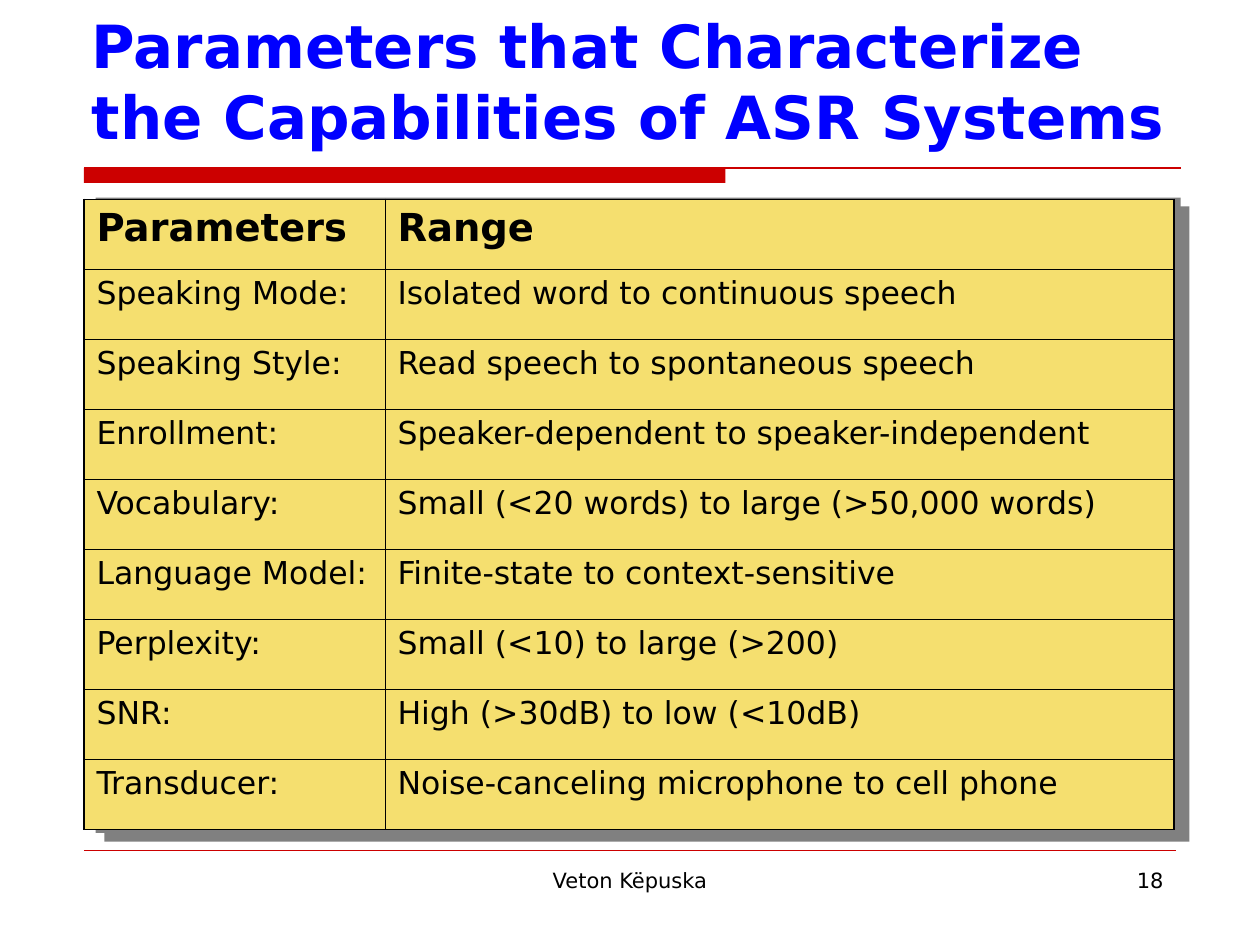
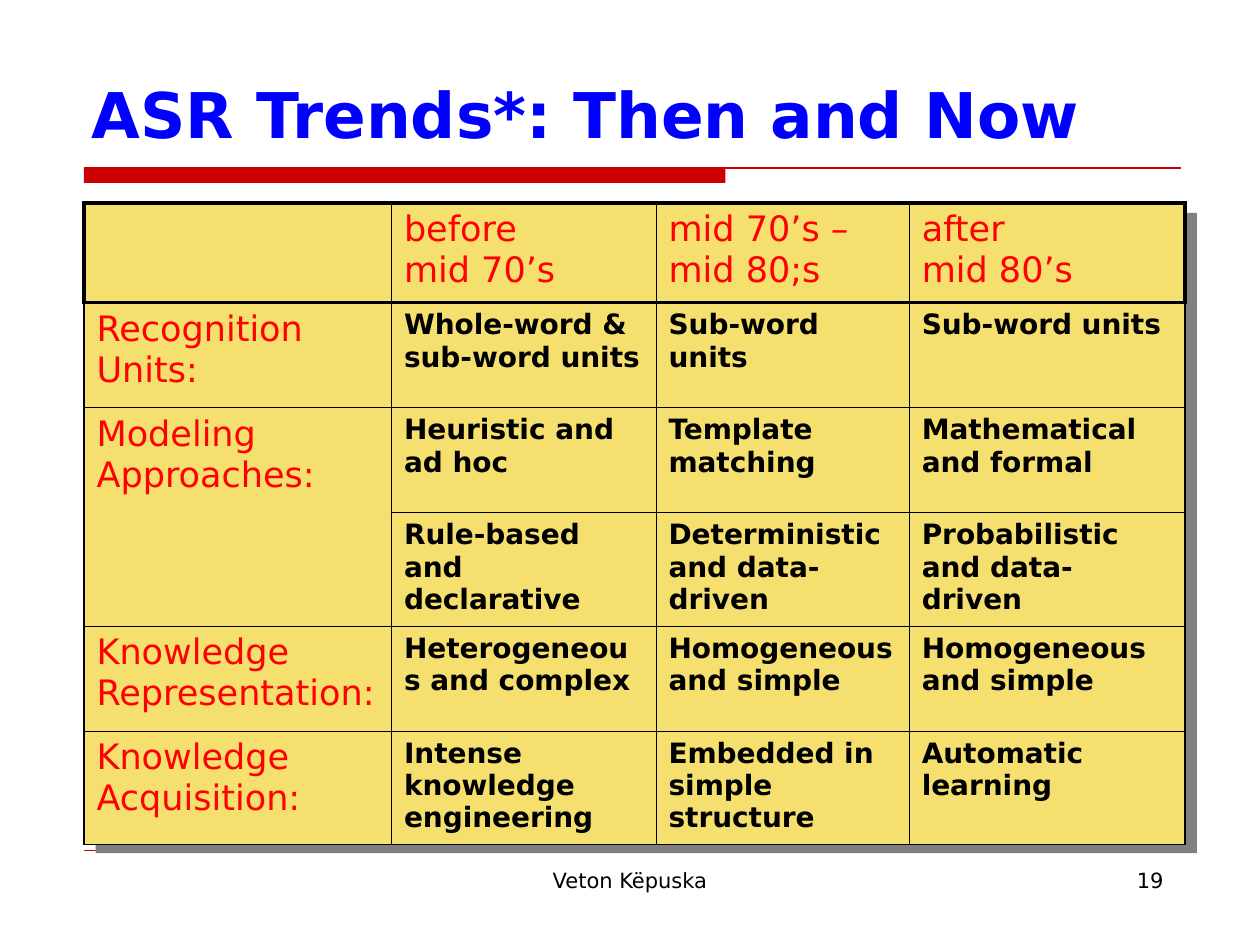
"""Build two slides with tables on the capabilities and trends of ASR systems."""
from lxml import etree
from pptx import Presentation
from pptx.dml.color import RGBColor
from pptx.enum import shapes, text
from pptx.oxml import parse_xml
from pptx.oxml.ns import nsdecls, qn
from pptx.util import Pt

FONT = "DejaVu Sans"
BLACK = RGBColor(0, 0, 0)
BLUE = RGBColor(0, 0, 255)
RED = RGBColor(255, 0, 0)
BAND_RED = RGBColor(204, 0, 0)
GREY = RGBColor(128, 128, 128)
YELLOW = RGBColor(245, 223, 111)
LEFT = 48
THIN, MEDIUM, THICK = 0.45, 1.08, 2.21

HEADING = (22, BLACK, True, 5.5)
ENTRY = (18, BLACK, False, 4.5)
LABEL = (20, RED, False, 5)
FINDING = (16, BLACK, True, 4)

SLIDES = [
    {
        "title": "Parameters that Characterize the Capabilities of ASR Systems",
        "title_size": 34,
        "number": "18",
        "backing": (54.7, 113, 620, 363),
        "soft_shadow": True,
        "top": 114,
        "widths": [172, 451],
        "heights": [40] * 9,
        "row_rules": [MEDIUM, MEDIUM] + [THIN] * 7 + [MEDIUM],
        "column_rules": [MEDIUM, THIN, MEDIUM],
        "header_side": MEDIUM,
        "styles": {"header": HEADING, "label": ENTRY, "body": ENTRY},
        "merge": None,
        "rows": [
            ["Parameters", "Range"],
            ["Speaking Mode:", "Isolated word to continuous speech"],
            ["Speaking Style:", "Read speech to spontaneous speech"],
            ["Enrollment:", "Speaker-dependent to speaker-independent"],
            ["Vocabulary:", "Small (<20 words) to large (>50,000 words)"],
            ["Language Model:", "Finite-state to context-sensitive"],
            ["Perplexity:", "Small (<10) to large (>200)"],
            ["SNR:", "High (>30dB) to low (<10dB)"],
            ["Transducer:", "Noise-canceling microphone to cell phone"],
        ],
    },
    {
        "title": "ASR Trends*: Then and Now",
        "title_size": 36,
        "number": "19",
        "backing": (54.7, 121.7, 629.3, 365.8),
        "soft_shadow": False,
        "top": 116,
        "widths": [175.7, 151.2, 144.7, 157.7],
        "heights": [57, 60, 60, 64.5, 60, 64.5],
        "row_rules": [THICK, THICK] + [THIN] * 4 + [MEDIUM],
        "column_rules": [MEDIUM, MEDIUM, THIN, THIN, MEDIUM],
        "header_side": THICK,
        "styles": {"header": LABEL, "label": LABEL, "body": FINDING},
        "merge": ((2, 0), (3, 0)),
        "rows": [
            ["", "before \nmid 70’s", "mid 70’s – mid 80;s", "after \nmid 80’s"],
            ["Recognition Units:", "Whole-word & sub-word units", "Sub-word units", "Sub-word units"],
            ["Modeling\nApproaches:", "Heuristic and ad hoc", "Template matching", "Mathematical and formal"],
            ["", "Rule-based and declarative", "Deterministic and data-driven", "Probabilistic and data-driven"],
            ["Knowledge\nRepresentation:", "Heterogeneous and complex", "Homogeneous and simple",
             "Homogeneous and simple"],
            ["Knowledge\nAcquisition:", "Intense knowledge engineering", "Embedded in simple structure",
             "Automatic learning"],
        ],
    },
]


def write(frame, words, size, color, bold=False, before=0, align=text.PP_ALIGN.LEFT):
    para = frame.paragraphs[0]
    para.text = words
    para.alignment = align
    para.space_before = Pt(before)
    para.font.name = FONT
    para.font.size = Pt(size)
    para.font.bold = bold
    para.font.color.rgb = color


def add_block(page, bounds, color):
    block = page.shapes.add_shape(shapes.MSO_SHAPE.RECTANGLE, *map(Pt, bounds))
    block.shadow.inherit = False
    block.fill.solid()
    block.fill.fore_color.rgb = color
    block.line.fill.background()
    return block


deck = Presentation()
deck.slide_width, deck.slide_height = Pt(720), Pt(540)

for content in SLIDES:
    page = deck.slides.add_slide(deck.slide_layouts[6])

    add_block(page, (LEFT, 96, 366.5, 8.6), BAND_RED)
    for y, right, weight in [(96, 674.6, 0.75), (486, 672, 0.25)]:
        rule = page.shapes.add_connector(shapes.MSO_CONNECTOR.STRAIGHT, Pt(LEFT), Pt(y), Pt(right), Pt(y))
        rule.line.color.rgb = BAND_RED
        rule.line.width = Pt(weight)
        etree.SubElement(rule._element.spPr, qn("a:effectLst"))

    backing = add_block(page, content["backing"], GREY)
    if content["soft_shadow"]:
        effects = backing._element.spPr.find(qn("a:effectLst"))
        effects.append(parse_xml(
            f'<a:outerShdw {nsdecls("a")} dist="{Pt(7.1)}" dir="2700000" algn="ctr" rotWithShape="0">'
            f'<a:srgbClr val="{GREY}"/></a:outerShdw>'))

    for words, bounds, size, color, bold, align, anchor in [
        (content["title"], (45.4, 23.8, 630, 66.2), content["title_size"], BLUE, True,
         text.PP_ALIGN.LEFT, text.MSO_ANCHOR.BOTTOM),
        ("Veton Këpuska", (246, 492, 228, 37.5), 12, BLACK, False,
         text.PP_ALIGN.CENTER, text.MSO_ANCHOR.TOP),
        (content["number"], (516, 492, 156, 37.5), 12, BLACK, False,
         text.PP_ALIGN.RIGHT, text.MSO_ANCHOR.TOP),
    ]:
        box = page.shapes.add_textbox(*map(Pt, bounds))
        box.text_frame.word_wrap = True
        box.text_frame.vertical_anchor = anchor
        write(box.text_frame, words, size, color, bold, align=align)

    rows, widths, heights = content["rows"], content["widths"], content["heights"]
    table = page.shapes.add_table(
        len(rows), len(widths), Pt(LEFT), Pt(content["top"]), Pt(sum(widths)), Pt(sum(heights))).table
    table.first_row = False
    table.horz_banding = False
    for column, width in zip(table.columns, widths):
        column.width = Pt(width)
    for row, height in zip(table.rows, heights):
        row.height = Pt(height)

    for r, row in enumerate(rows):
        column_rules = list(content["column_rules"])
        if r == 0:
            column_rules[0] = column_rules[-1] = content["header_side"]
        for c, words in enumerate(row):
            cell = table.cell(r, c)
            cell.fill.solid()
            cell.fill.fore_color.rgb = YELLOW
            role = "header" if r == 0 else "label" if c == 0 else "body"
            write(cell.text_frame, words, *content["styles"][role])
            borders = {"lnL": column_rules[c], "lnR": column_rules[c + 1],
                       "lnT": content["row_rules"][r], "lnB": content["row_rules"][r + 1]}
            for position, (side, weight) in enumerate(borders.items()):
                cell._tc.get_or_add_tcPr().insert(position, parse_xml(
                    f'<a:{side} {nsdecls("a")} w="{Pt(weight)}"><a:solidFill>'
                    f'<a:srgbClr val="{BLACK}"/></a:solidFill></a:{side}>'))

    if content["merge"]:
        first, last = content["merge"]
        table.cell(*first).merge(table.cell(*last))

deck.save("out.pptx")
